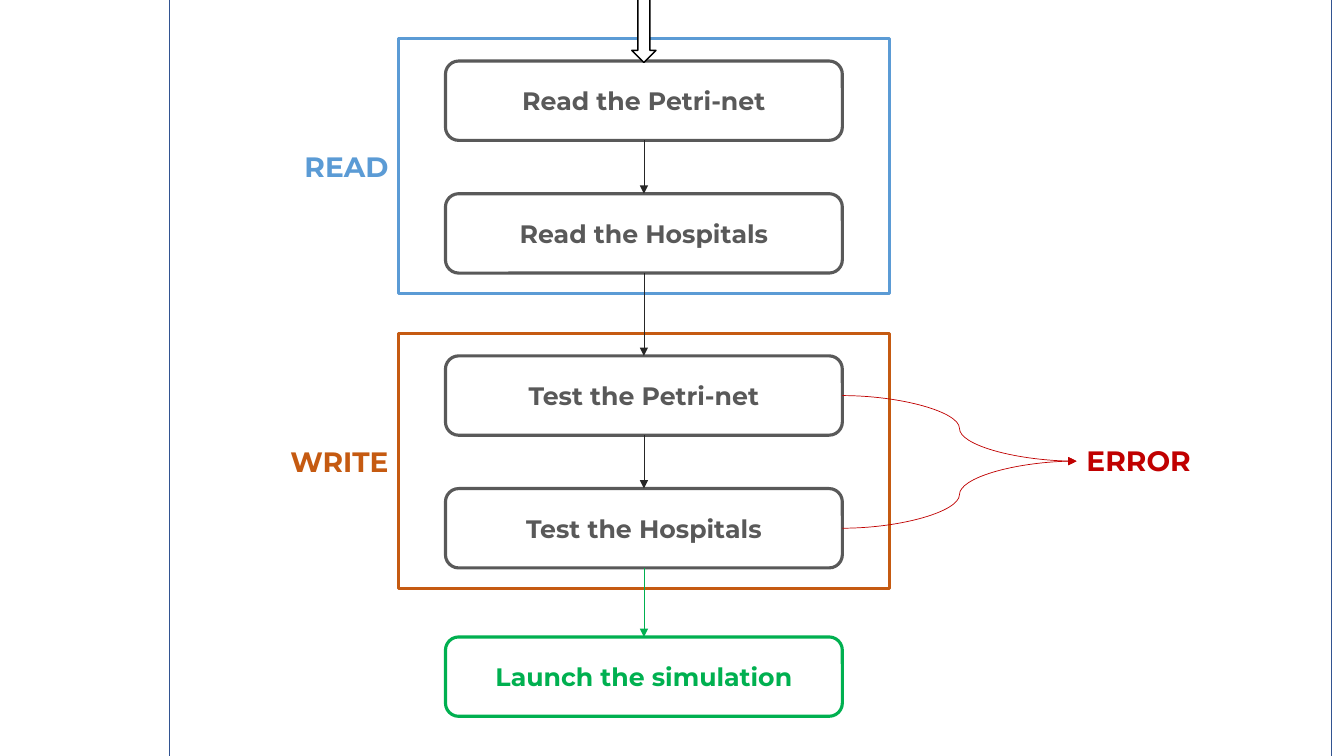
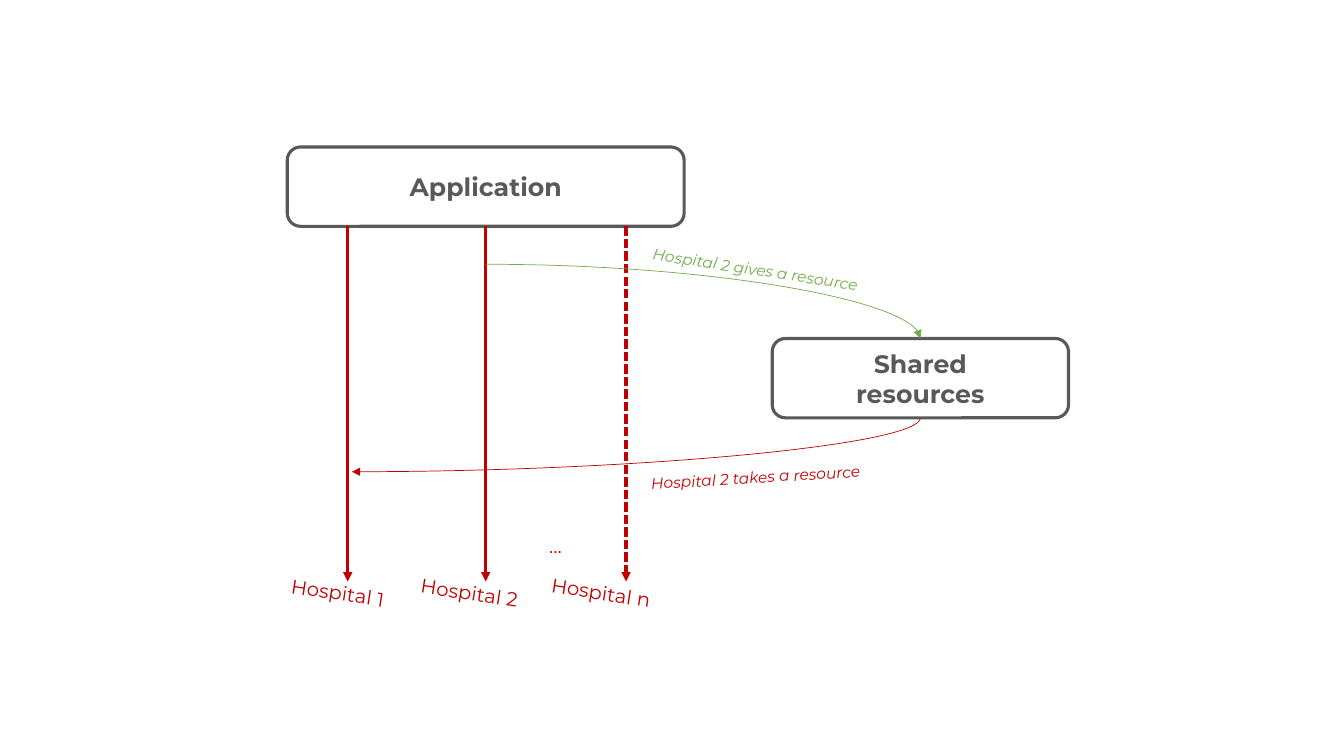
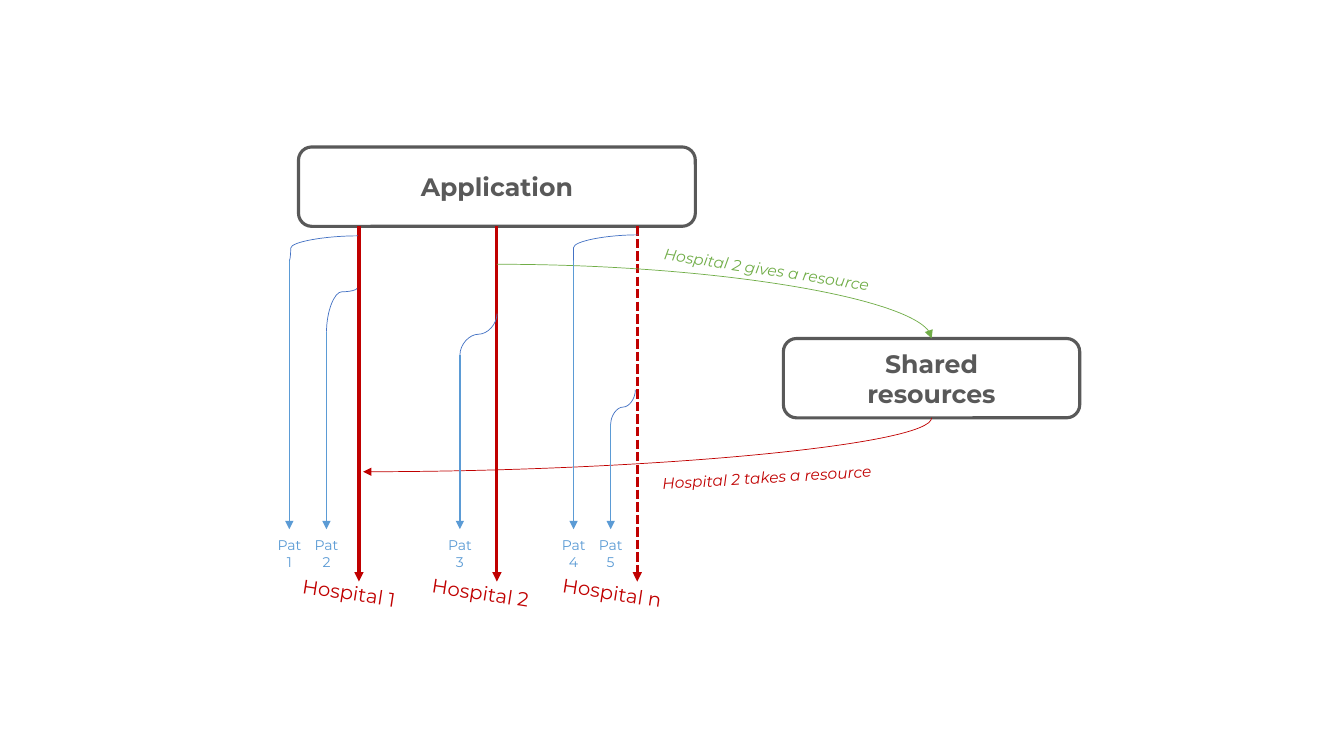
import pptx
import pptx.util
import pptx.dml.color
import pptx.enum.dml
import pptx.enum.shapes
import pptx.enum.text
import pptx.oxml.ns
import pptx.oxml.xmlchemy

Pt = pptx.util.Pt
RGBColor = pptx.dml.color.RGBColor
SHAPE = pptx.enum.shapes.MSO_SHAPE
LINK = pptx.enum.shapes.MSO_CONNECTOR
ALIGN = pptx.enum.text.PP_ALIGN
qn = pptx.oxml.ns.qn
make = pptx.oxml.xmlchemy.OxmlElement

FONT = "Montserrat"
WHITE = RGBColor(0xFF, 0xFF, 0xFF)
BLACK = RGBColor(0, 0, 0)
GREY = RGBColor(0x59, 0x59, 0x59)
DARK = RGBColor(0x26, 0x26, 0x26)
NAVY = RGBColor(0x32, 0x54, 0x91)
SKY = RGBColor(0x5B, 0x9B, 0xD5)
BLUE = RGBColor(0x44, 0x72, 0xC4)
RUST = RGBColor(0xC5, 0x5A, 0x11)
RED = RGBColor(0xC0, 0, 0)
GREEN = RGBColor(0, 0xB0, 0x50)
LEAF = RGBColor(0x70, 0xAD, 0x47)

BOX_W, BOX_H = 283.5, 56.7


# Text and shapes
def write(frame, text, size=18, color=GREY, bold=False, italic=False,
          align=ALIGN.CENTER):
    frame.word_wrap = True
    for i, line in enumerate(text.split("\n")):
        para = frame.paragraphs[0] if i == 0 else frame.add_paragraph()
        para.alignment = align
        run = para.add_run()
        run.text = line
        font = run.font
        font.name, font.size = FONT, Pt(size)
        font.bold, font.italic = bold, italic
        font.color.rgb = color


def label(slide, x, y, w, h, text, turn=0, **style):
    box = slide.shapes.add_textbox(Pt(x), Pt(y), Pt(w), Pt(h))
    box.rotation = turn
    write(box.text_frame, text, **style)
    box.text_frame.auto_size = pptx.enum.text.MSO_AUTO_SIZE.SHAPE_TO_FIT_TEXT


def shape(slide, kind, x, y, w, h, color, width=2.25, fill=None):
    item = slide.shapes.add_shape(kind, Pt(x), Pt(y), Pt(w), Pt(h))
    item.shadow.inherit = False
    if fill is None:
        item.fill.background()
    else:
        item.fill.solid()
        item.fill.fore_color.rgb = fill
    item.line.color.rgb = color
    item.line.width = Pt(width)
    return item


def node(slide, x, y, text, color=GREY, w=BOX_W):
    box = shape(slide, SHAPE.ROUNDED_RECTANGLE, x, y, w, BOX_H, color)
    box.text_frame.vertical_anchor = pptx.enum.text.MSO_ANCHOR.MIDDLE
    write(box.text_frame, text, color=color, bold=True)
    return box


# Connectors
def link(slide, kind, start, end, color, width=0.5, dash=False, head=True):
    line = slide.shapes.add_connector(kind, *map(Pt, (*start, *end)))
    line.line.color.rgb = color
    line.line.width = Pt(width)
    if dash:
        line.line.dash_style = pptx.enum.dml.MSO_LINE.SQUARE_DOT
    props = line._element.spPr
    if head:
        tail = make("a:tailEnd")
        tail.set("type", "triangle")
        props.find(qn("a:ln")).append(tail)
    props.append(make("a:effectLst"))
    return line


def arrow(slide, start, end, color, **style):
    return link(slide, LINK.STRAIGHT, start, end, color, **style)


def join(slide, top, low, color=DARK):
    line = arrow(slide, (0, 0), (0, 0), color)
    line.begin_connect(top, 2)
    line.end_connect(low, 0)


def curve(slide, start, end, color, bend=None, upright=False, head=True):
    """S-curve with its bend at a share of the way, or a quarter turn if None."""
    if upright:  # lay the ends on their side, then turn the connector back
        mx, my = (start[0] + end[0]) / 2, (start[1] + end[1]) / 2
        start, end = [(mx + y - my, my - x + mx) for x, y in (start, end)]
    line = link(slide, LINK.CURVE, start, end, color, head=head)
    props = line._element.spPr
    if upright:
        props.find(qn("a:xfrm")).set("rot", str(90 * 60000))
    geom = props.find(qn("a:prstGeom"))
    if bend is None:
        geom.set("prst", "curvedConnector2")
    else:
        guide = make("a:gd")
        guide.set("name", "adj1")
        guide.set("fmla", f"val {round(bend * 100000)}")
        geom.get_or_add_avLst().append(guide)


# Slide 1: steps in two framed stages
def stage(slide, x, y, name, color, texts):
    boxes = [node(slide, x + 33.6, y + 16 + 94.8 * i, text)
             for i, text in enumerate(texts)]
    join(slide, *boxes)
    shape(slide, SHAPE.RECTANGLE, x, y, 350.6, 182.2, color)
    label(slide, x - 91, y + 75.6, 91, 31.7, name, size=20, color=color,
          bold=True, align=ALIGN.RIGHT)
    return boxes


def steps(slide):
    shape(slide, SHAPE.RECTANGLE, 121, -80, 830, 710, NAVY, 1, WHITE)
    x = 284.6
    reads = stage(slide, x, 27.6, "READ", SKY,
                  ["Read the Petri-net", "Read the Hospitals"])
    tests = stage(slide, x, 238.2, "WRITE", RUST,
                  ["Test the Petri-net", "Test the Hospitals"])
    launch = node(slide, x + 33.6, 455, "Launch the simulation", GREEN)
    join(slide, reads[1], tests[0])
    join(slide, tests[1], launch, GREEN)
    # Failed tests
    for top in (254.2, 349):
        curve(slide, (601.7, top + BOX_H / 2), (769, 329.4), RED, 0.5)
    label(slide, 769, 313.4, 91, 31.7, "ERROR", size=20, color=RED,
          bold=True, align=ALIGN.LEFT)
    shape(slide, SHAPE.DOWN_ARROW, 451.3, -50.4, 17.3, 95, BLACK, 1, WHITE)


# Slides 2 and 3: hospital threads and shared resources
def threads(slide, x):
    top, low = 105, 415.4
    base, mid = top + BOX_H, x + BOX_W / 2
    app = node(slide, x, top, "Application")
    for i, (at, mark) in enumerate([(x + 43.2, "1"), (mid, "2"),
                                    (x + 242, "n")]):
        line = arrow(slide, (at, base), (at, low), RED, width=2.25,
                     dash=mark == "n")
        if at == mid:
            line.begin_connect(app, 2)
        label(slide, x - 7.9 + 94 * i, 411.2, 88, 24.5, f"Hospital {mark}",
              turn=8.7, size=14, color=RED)
    # Exchange with the shared pool
    pool, wide = 241.8, 211.7
    hub = x + 346.4 + wide / 2
    node(slide, x + 346.4, pool, "Shared\nresources", w=wide)
    curve(slide, (mid, 188.8), (hub, pool), LEAF)
    label(slide, x + 242.6, 182.2, 183.6, 20.6, "Hospital 2 gives a resource",
          turn=8.7, size=11, color=LEAF, italic=True)
    curve(slide, (hub, pool + BOX_H), (x + 46.1, 337), RED, upright=True)
    label(slide, x + 245.5, 330.6, 178, 20.6, "Hospital 2 takes a resource",
          turn=-3.6, size=11, color=RED, italic=True)


# Slide 3: patient branches, each (x, y, join x, join y, upright, bend)
BRANCHES = [
    (-6.5, 186, 42.5, 168.5, False, 0.02),
    (20, 237, 41.8, 206, True, 0.92),
    (115.3, 253.5, 141.8, 224, True, 0.5),
    (196.5, 186, 242.5, 167.8, False, 0),
    (223, 303, 240.6, 278.6, True, 0.5),
]


def patients(slide, x):
    for i, (px, py, jx, jy, upright, bend) in enumerate(BRANCHES, 1):
        at = x + px
        arrow(slide, (at, py), (at, 378), SKY, width=1)
        curve(slide, (at, py), (x + jx, jy), BLUE, bend, upright, head=False)
        label(slide, at - 17.3, 380, 34.6, 31.7, f"Pat {i}", size=10,
              color=SKY)


def main():
    deck = pptx.Presentation()
    deck.slide_width, deck.slide_height = Pt(960), Pt(540)
    first, second, third = [deck.slides.add_slide(deck.slide_layouts[6])
                            for _ in range(3)]
    steps(first)
    threads(second, 205.2)
    label(second, 352.8, 378, 88, 24.5, "…", size=14, color=RED)
    threads(third, 213.2)
    patients(third, 213.2)
    deck.save("out.pptx")


if __name__ == "__main__":
    main()
